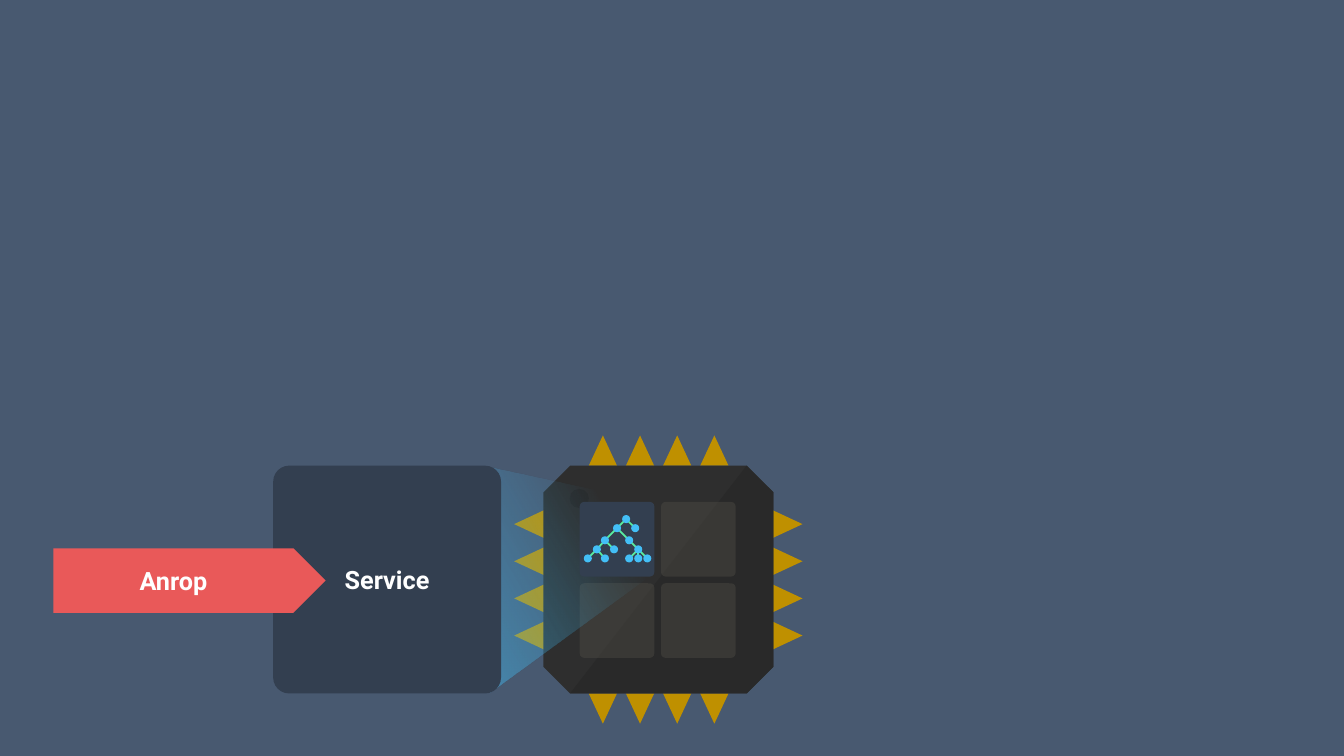
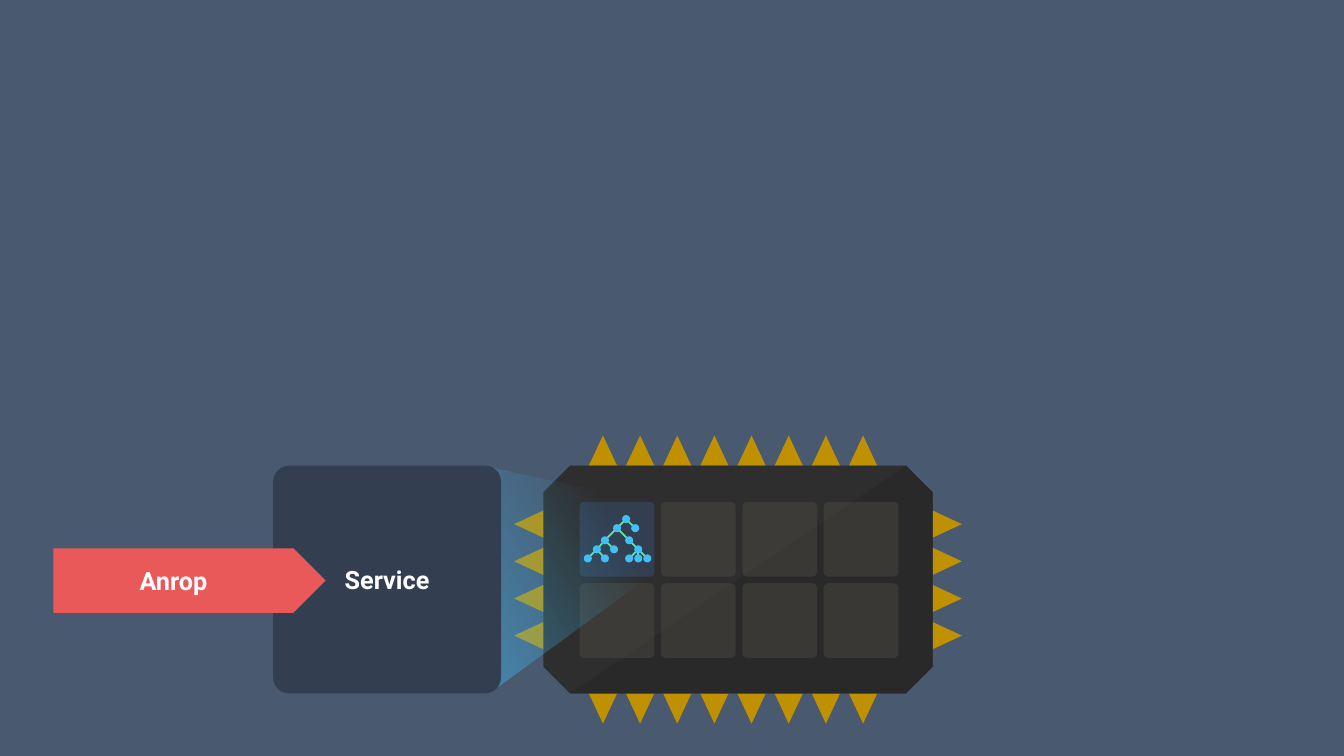
from dataclasses import dataclass

from lxml import etree
from pptx import Presentation
from pptx.dml.color import RGBColor
from pptx.enum.shapes import MSO_CONNECTOR, MSO_SHAPE
from pptx.enum.text import MSO_ANCHOR, PP_ALIGN
from pptx.oxml.ns import qn
from pptx.shapes.autoshape import Shape
from pptx.slide import Slide
from pptx.util import Inches, Pt

OCTAGON, ELLIPSE = MSO_SHAPE.OCTAGON, MSO_SHAPE.OVAL
ROUND_RECT, ARROW = MSO_SHAPE.ROUNDED_RECTANGLE, MSO_SHAPE.RIGHT_ARROW
STRAIGHT = MSO_CONNECTOR.STRAIGHT
CENTER, MIDDLE = PP_ALIGN.CENTER, MSO_ANCHOR.MIDDLE

Point = tuple[float, float]


@dataclass(frozen=True)
class Theme:
    background: str = "485970"
    panel: str = "333F50"
    call: str = "E95959"
    pin: str = "BF9000"
    chip: str = "2E2E2E"
    shade: str = "292929"
    tile: str = "4D4B44"
    glow: str = "43BFF7"
    branch: str = "58EC9F"
    text: str = "FFFFFF"
    font: str = "Roboto"
    label_size: int = 18
    branch_width: float = 1.25
    tile_alpha: int = 46
    beam_alpha: int = 45


@dataclass(frozen=True)
class Box:
    left: float
    top: float
    width: float
    height: float

    @property
    def right(self) -> float:
        return self.left + self.width

    @property
    def bottom(self) -> float:
        return self.top + self.height


@dataclass(frozen=True)
class Label:
    text: str
    kind: MSO_SHAPE
    box: Box
    adjustments: tuple[float, ...]
    fill: str


@dataclass(frozen=True)
class Chip:
    width: float
    columns: int
    has_mark: bool
    joined_pins: bool
    beam_on_top: bool


THEME = Theme()
LABELS = (
    Label("Service", ROUND_RECT, Box(2.71, 4.62, 2.26, 2.26), (0.07,), THEME.panel),
    Label("Anrop", ARROW, Box(0.53, 5.44, 2.7, 0.64), (1, 0.5), THEME.call),
)
CHIPS = (Chip(2.28, 2, True, True, False), Chip(3.86, 4, False, False, True))

CHIP_LEFT, CHIP_TOP, CHIP_HEIGHT = 5.39, 4.62, 2.26
CORNER = 0.117
PIN_STEP, PIN_HALF, PIN_LENGTH = 2.58 / 7, 0.14, 0.3
SIDE_PIN_INSET = 0.01
FIRST_PIN_X, FIRST_PIN_Y = 5.98, 5.2
ROWS = 2
TILE_LEFT, TILE_TOP, TILE_SIZE, TILE_STEP = 5.75, 4.98, 0.74, 2.42 / 3
TILE_CORNER = 0.06
NODE_SIZE = 0.08

BEAM = ((4.83, 4.63), (6.44, 4.98), (6.47, 4.99), (6.48, 5.02),
        (6.48, 5.67), (6.47, 5.7), (6.44, 5.72), (4.87, 6.87))
BEAM_ANGLE, BEAM_END = 30, 0.76

NODES: dict[str, Point] = {
    "root": (6.21, 5.15),
    "l": (6.12, 5.24), "r": (6.3, 5.24),
    "ll": (6, 5.36), "lr": (6.24, 5.36),
    "lll": (5.92, 5.45), "llr": (6.09, 5.45), "lrr": (6.33, 5.45),
    "llll": (5.83, 5.54), "lllr": (6, 5.54),
    "lrrl": (6.24, 5.54), "lrrm": (6.33, 5.54), "lrrr": (6.42, 5.54),
}


def set_alpha(shape: Shape, *percents: int) -> None:
    for color, percent in zip(shape.element.spPr.iter(qn("a:srgbClr")), percents):
        etree.SubElement(color, qn("a:alpha"), val=str(percent * 1000))


def paint(sp: Shape, color: str) -> None:
    sp.shadow.inherit = False
    sp.line.fill.background()
    sp.fill.solid()
    sp.fill.fore_color.rgb = RGBColor.from_string(color)


def add_preset(s: Slide, kind: MSO_SHAPE, box: Box, color: str,
               adjustments: tuple[float, ...] = ()) -> Shape:
    sp = s.shapes.add_shape(kind, Inches(box.left), Inches(box.top),
                            Inches(box.width), Inches(box.height))
    for i, value in enumerate(adjustments):
        sp.adjustments[i] = value
    paint(sp, color)
    return sp


def add_outline(s: Slide, contours: list[tuple[Point, ...]], color: str) -> Shape:
    scaled = [[(Inches(x), Inches(y)) for x, y in c] for c in contours]
    builder = s.shapes.build_freeform(*scaled[0][0])
    for i, contour in enumerate(scaled):
        if i:
            builder.move_to(*contour[0])
        builder.add_line_segments(contour[1:], close=True)
    sp = builder.convert_to_shape()
    paint(sp, color)
    return sp


def add_label(s: Slide, label: Label) -> None:
    sp = add_preset(s, label.kind, label.box, label.fill, label.adjustments)
    tf = sp.text_frame
    tf.vertical_anchor = MIDDLE
    p = tf.paragraphs[0]
    p.alignment = CENTER
    r = p.add_run()
    r.text = label.text
    style = {"name": THEME.font, "size": Pt(THEME.label_size), "bold": True}
    for name, value in style.items():
        setattr(r.font, name, value)
    r.font.color.rgb = RGBColor.from_string(THEME.text)


def add_pins(s: Slide, body: Box, chip: Chip) -> None:
    pins: list[tuple[Point, ...]] = []
    for base, tip in ((body.top, body.top - PIN_LENGTH),
                      (body.bottom, body.bottom + PIN_LENGTH)):
        for i in range(2 * chip.columns):
            x = FIRST_PIN_X + i * PIN_STEP
            pins.append(((x - PIN_HALF, base), (x + PIN_HALF, base), (x, tip)))
    left, right = body.left + SIDE_PIN_INSET, body.right - SIDE_PIN_INSET
    for base, tip in ((left, left - PIN_LENGTH), (right, right + PIN_LENGTH)):
        for i in range(2 * ROWS):
            y = FIRST_PIN_Y + i * PIN_STEP
            pins.append(((base, y - PIN_HALF), (base, y + PIN_HALF), (tip, y)))
    for outline in [pins] if chip.joined_pins else [[pin] for pin in pins]:
        add_outline(s, outline, THEME.pin)


def add_tile(s: Slide, column: int, row: int, color: str) -> Shape:
    box = Box(TILE_LEFT + column * TILE_STEP, TILE_TOP + row * TILE_STEP,
              TILE_SIZE, TILE_SIZE)
    return add_preset(s, ROUND_RECT, box, color, (TILE_CORNER,))


def add_chip(s: Slide, chip: Chip) -> None:
    body = Box(CHIP_LEFT, CHIP_TOP, chip.width, CHIP_HEIGHT)
    cut = CORNER * body.height
    add_pins(s, body, chip)
    add_preset(s, OCTAGON, body, THEME.chip, (CORNER,))
    add_outline(s, [((body.left + cut, body.bottom), (body.right - cut, body.top),
                     (body.right, body.top + cut), (body.right, body.bottom - cut),
                     (body.right - cut, body.bottom))], THEME.shade)
    if chip.has_mark:
        add_preset(s, ELLIPSE, Box(5.65, 4.85, 0.19, 0.19), THEME.shade)
    for row in range(ROWS):
        for column in range(chip.columns):
            if row or column:
                set_alpha(add_tile(s, column, row, THEME.tile), THEME.tile_alpha)


def add_beam(s: Slide) -> None:
    sp = add_outline(s, [BEAM], THEME.glow)
    sp.fill.gradient()
    sp.fill.gradient_angle = BEAM_ANGLE
    for stop, position in zip(sp.fill.gradient_stops, (0, BEAM_END)):
        stop.position = position
        stop.color.rgb = RGBColor.from_string(THEME.glow)
    set_alpha(sp, THEME.beam_alpha, 0)


def add_branch(s: Slide, start: Point, end: Point) -> None:
    line = s.shapes.add_connector(STRAIGHT, *(Inches(v) for v in start + end))
    line.line.color.rgb = RGBColor.from_string(THEME.branch)
    line.line.width = Pt(THEME.branch_width)
    etree.SubElement(line.element.spPr, qn("a:effectLst"))


def add_tree_core(s: Slide) -> None:
    add_tile(s, 0, 0, THEME.panel)
    for name, center in NODES.items():
        if name != "root":
            add_branch(s, NODES[name[:-1] or "root"], center)
    for x, y in NODES.values():
        box = Box(x - NODE_SIZE / 2, y - NODE_SIZE / 2, NODE_SIZE, NODE_SIZE)
        add_preset(s, ELLIPSE, box, THEME.glow)


def add_chip_slide(prs: Presentation, chip: Chip) -> None:
    s = prs.slides.add_slide(prs.slide_layouts.get_by_name("Blank"))
    add_chip(s, chip)
    layers = (add_tree_core, add_beam) if chip.beam_on_top else (add_beam, add_tree_core)
    for add_layer in layers:
        add_layer(s)
    for label in LABELS:
        add_label(s, label)


def main() -> None:
    prs = Presentation()
    prs.slide_width, prs.slide_height = Inches(13.33), Inches(7.5)
    fill = prs.slide_master.background.fill
    fill.solid()
    fill.fore_color.rgb = RGBColor.from_string(THEME.background)
    for chip in CHIPS:
        add_chip_slide(prs, chip)
    prs.save("out.pptx")


if __name__ == "__main__":
    main()
